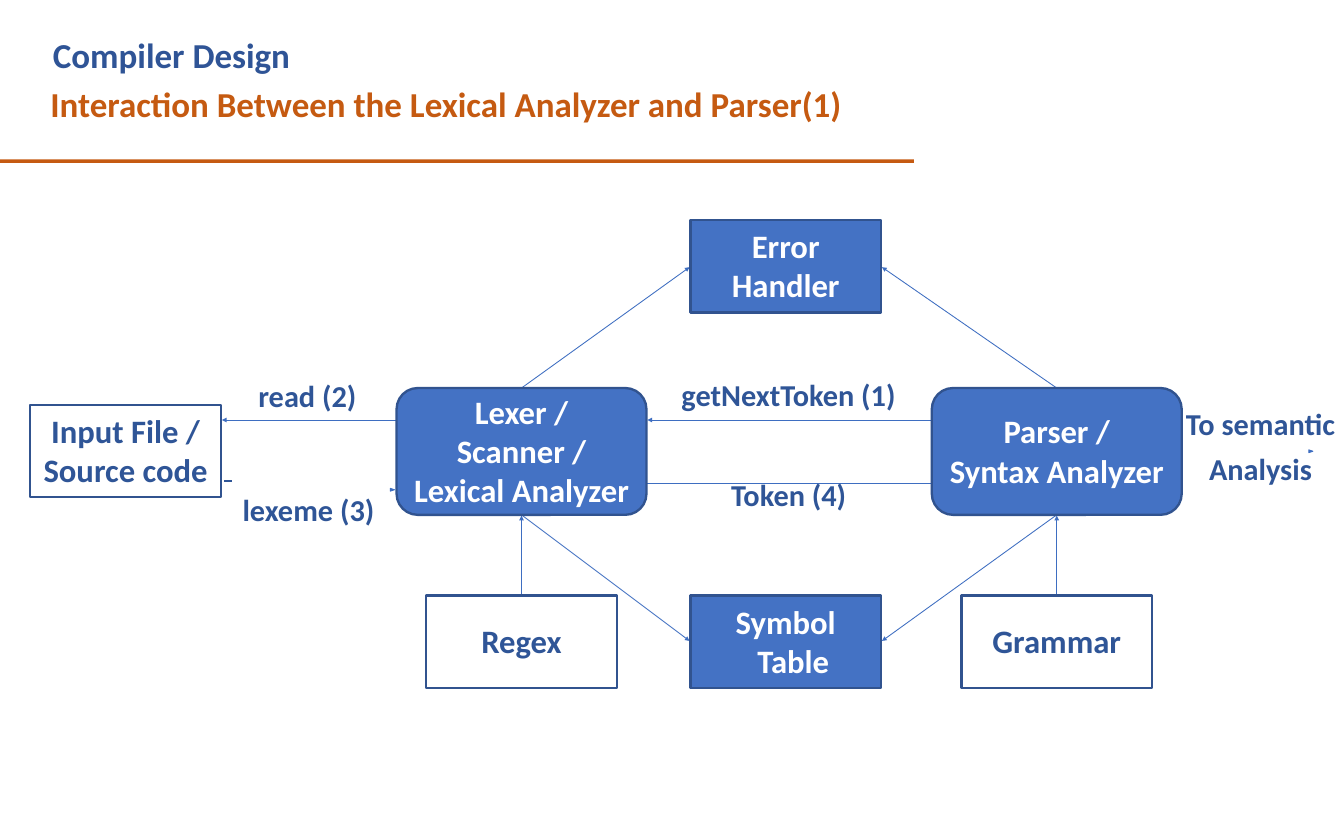
from dataclasses import dataclass

from lxml.etree import SubElement
from pptx import Presentation
from pptx.dml.color import RGBColor
from pptx.enum.shapes import MSO_CONNECTOR, MSO_SHAPE
from pptx.enum.text import MSO_ANCHOR, MSO_AUTO_SIZE, PP_ALIGN
from pptx.oxml.ns import qn
from pptx.util import Pt

BLUE, EDGE, ARROW = "4472C4", "31538F", "3E6EC1"
HEADING, TEXT, ORANGE, WHITE = "2F5496", "2F5597", "C55A11", "FFFFFF"
LEXER_X, PARSER_X = 447, 905.8
STAGE_TOP, STAGE_BOTTOM = 332.6, 441.3
STAGE_W, BOX_W, BOX_H = 214.2, 163.4, 79.2
LOWER_TOP, ERROR_TOP, CENTER_LEFT = 510.5, 188.6, 591.8


@dataclass
class Box:
    """A diagram box; nudge shifts its last line to the right."""

    lines: list[str]
    left: float
    top: float
    filled: bool = False
    stage: bool = False
    nudge: float = 0


@dataclass
class Label:
    """A caption beside an arrow."""

    lines: list[str]
    left: float
    top: float
    width: float
    gap: float = 0


@dataclass
class Line:
    """A straight line, with an arrowhead at its end by default."""

    x1: float
    y1: float
    x2: float
    y2: float
    color: str = ARROW
    weight: float = 0.75
    head: bool = True


BOXES = [
    Box(["Lexer /", "Scanner /", "Lexical Analyzer"], LEXER_X - STAGE_W / 2, STAGE_TOP,
        filled=True, stage=True),
    Box(["Parser /", "Syntax Analyzer"], PARSER_X - STAGE_W / 2, STAGE_TOP,
        filled=True, stage=True),
    Box(["Input File /", "Source code"], 25.9, 347),
    Box(["Regex"], LEXER_X - BOX_W / 2, LOWER_TOP),
    Box(["Grammar"], PARSER_X - BOX_W / 2, LOWER_TOP),
    Box(["Symbol", "Table"], CENTER_LEFT, LOWER_TOP, filled=True, nudge=13),
    Box(["Error", "Handler"], CENTER_LEFT, ERROR_TOP, filled=True),
]

LABELS = [
    Label(["read (2)"], 215.5, 323, 96),
    Label(["lexeme (3)"], 202.5, 420.4, 124),
    Label(["Token (4)"], 620, 407.4, 112),
    Label(["getNextToken (1)"], 576, 322, 200),
    Label(["To semantic", "Analysis"], 1012, 346.8, 137, gap=7),
]

LINES = [
    Line(LEXER_X, STAGE_TOP, 591.1, 229),
    Line(PARSER_X, STAGE_TOP, 756, 229),
    Line(LEXER_X, STAGE_BOTTOM, 591.1, 549.4),
    Line(PARSER_X, STAGE_BOTTOM, 756, 549.4),
    Line(LEXER_X, LOWER_TOP, LEXER_X, 442),
    Line(PARSER_X, LOWER_TOP, PARSER_X, 442),
    Line(892.8, 360, 555, 360),
    Line(351.4, 360, 190.2, 360),
    Line(553.7, 414.6, 891.4, 414.6),
    Line(191.8, 412.6, 198.8, 412.6, TEXT, 1.5, head=False),
]

LOOSE_HEADS = [(334.6, 419.8), (1121.8, 386.8)]


def rgb(value: str) -> RGBColor:
    """Turn a hex string into a colour."""
    return RGBColor.from_string(value)


def write(p, text: str, *, size: float, color: str, align=PP_ALIGN.CENTER,
          before: float = 0, left: float = 0) -> None:
    """Write bold text into a paragraph with the given format."""
    p._p.get_or_add_pPr().set("marL", str(Pt(left)))
    p.alignment = align
    p.space_before = Pt(before)
    r = p.add_run()
    r.text = text
    r.font.name = "Calibri"
    r.font.size = Pt(size)
    r.font.bold = True
    r.font.color.rgb = rgb(color)


def write_lines(tf, lines: list[str], *, size: float, color: str,
                gap: float = 0, nudge: float = 0) -> None:
    """Write one paragraph per line, shifting the last of several."""
    for i, text in enumerate(lines):
        p = tf.add_paragraph() if i else tf.paragraphs[0]
        last = i and i == len(lines) - 1
        write(p, text, size=size, color=color,
              before=gap if last else 0, left=nudge if last else 0)


def set_frame(tf, anchor: MSO_ANCHOR, top: float = 0, bottom: float = 0) -> None:
    """Give a text frame fixed size, wrapping and tight margins."""
    tf.auto_size = MSO_AUTO_SIZE.NONE
    tf.word_wrap = True
    tf.vertical_anchor = anchor
    tf.margin_left = tf.margin_right = 0
    tf.margin_top, tf.margin_bottom = Pt(top), Pt(bottom)


def fill_shape(sp, color: str) -> None:
    """Fill a shape without outline or shadow."""
    sp.shadow.inherit = False
    sp.fill.solid()
    sp.fill.fore_color.rgb = rgb(color)
    sp.line.fill.background()


def add_title(s) -> None:
    """Place the two-line title and the rule under it."""
    sp = s.shapes.title
    sp.left, sp.top, sp.width, sp.height = Pt(42.5), Pt(22.3), Pt(680), Pt(85.7)
    tf = sp.text_frame
    set_frame(tf, MSO_ANCHOR.TOP, 6.4)
    write(tf.paragraphs[0], "Compiler Design", size=30, color=HEADING,
          align=PP_ALIGN.LEFT, left=2.9)
    write(tf.add_paragraph(), "Interaction Between the Lexical Analyzer and Parser(1)",
          size=30, color=ORANGE, align=PP_ALIGN.LEFT, before=6, left=0.7)
    rule = s.shapes.add_shape(MSO_SHAPE.RECTANGLE, 0, Pt(136.6), Pt(783.4), Pt(3))
    fill_shape(rule, ORANGE)


def add_box(s, box: Box) -> None:
    """Draw a diagram box with its text."""
    kind = MSO_SHAPE.ROUNDED_RECTANGLE if box.stage else MSO_SHAPE.RECTANGLE
    width, height = (STAGE_W, STAGE_BOTTOM - STAGE_TOP) if box.stage else (BOX_W, BOX_H)
    sp = s.shapes.add_shape(kind, Pt(box.left), Pt(box.top), Pt(width), Pt(height))
    fill_shape(sp, BLUE)
    if not box.filled:
        sp.fill.background()
    sp.line.color.rgb = rgb(EDGE)
    sp.line.width = Pt(2)
    set_frame(sp.text_frame, MSO_ANCHOR.MIDDLE, bottom=1.6)
    write_lines(sp.text_frame, box.lines, size=28, nudge=box.nudge,
                color=WHITE if box.filled else TEXT)


def add_line(s, line: Line) -> None:
    """Draw a line or arrow."""
    sp = s.shapes.add_connector(MSO_CONNECTOR.STRAIGHT, Pt(line.x1), Pt(line.y1),
                                Pt(line.x2), Pt(line.y2))
    sp.line.color.rgb = rgb(line.color)
    sp.line.width = Pt(line.weight)
    if line.head:
        SubElement(sp.line._get_or_add_ln(), qn("a:tailEnd"),
                   type="triangle", w="sm", len="sm")
    SubElement(sp._element.spPr, qn("a:effectLst"))


def add_loose_head(s, left: float, middle: float) -> None:
    """Draw a small arrowhead that points right."""
    fb = s.shapes.build_freeform(Pt(left), Pt(middle - 1.2))
    fb.add_line_segments([(Pt(left + 3.6), Pt(middle)), (Pt(left), Pt(middle + 1.2))])
    sp = fb.convert_to_shape()
    fill_shape(sp, ARROW)
    sp.line.color.rgb = rgb(ARROW)
    sp.line.width = Pt(0.75)


def add_label(s, label: Label) -> None:
    """Place a caption."""
    sp = s.shapes.add_textbox(Pt(label.left), Pt(label.top), Pt(label.width),
                              Pt(33 * len(label.lines) + label.gap))
    set_frame(sp.text_frame, MSO_ANCHOR.TOP, 0.7)
    write_lines(sp.text_frame, label.lines, size=26, color=TEXT, gap=label.gap)


def main() -> None:
    """Build and save the slide."""
    prs = Presentation()
    prs.slide_width, prs.slide_height = Pt(1152), Pt(720)
    s = prs.slides.add_slide(prs.slide_layouts[5])
    add_title(s)
    for line in LINES:
        add_line(s, line)
    for left, middle in LOOSE_HEADS:
        add_loose_head(s, left, middle)
    for box in BOXES:
        add_box(s, box)
    for label in LABELS:
        add_label(s, label)
    prs.save("out.pptx")


if __name__ == "__main__":
    main()
